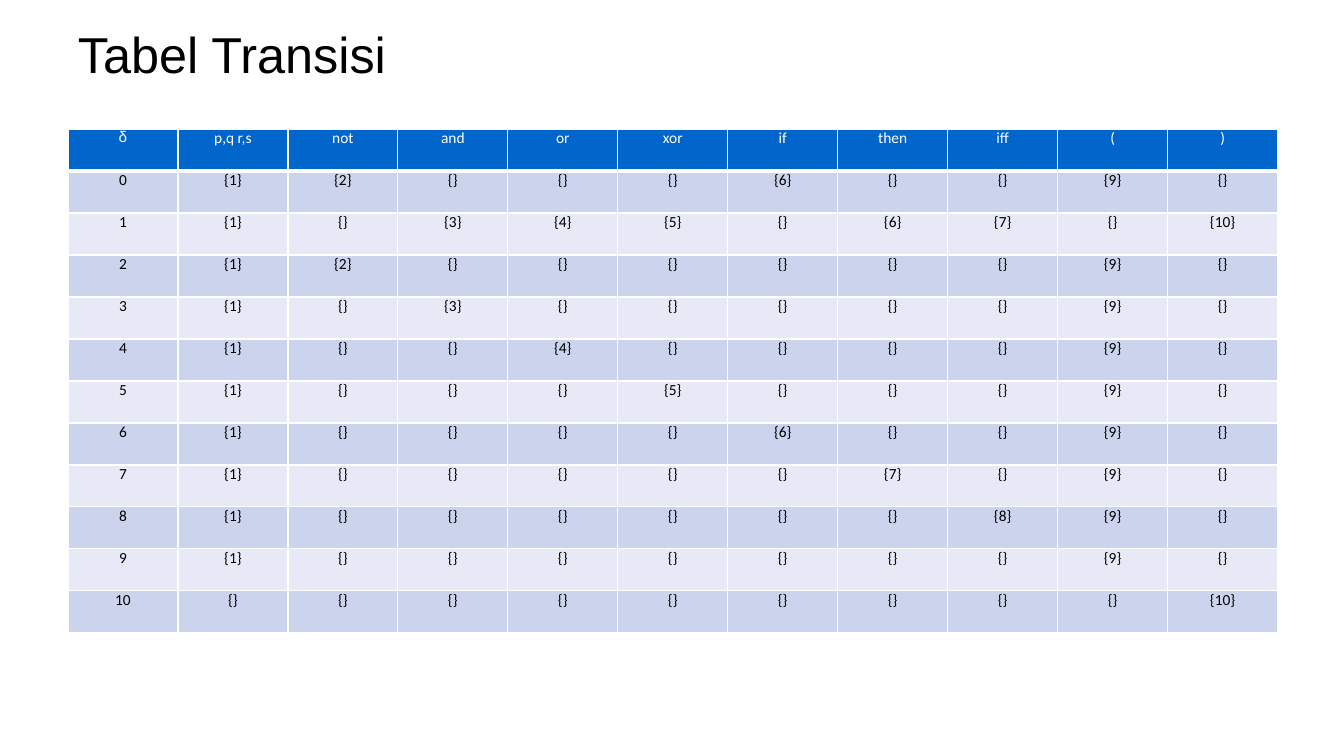
import pptx
import pptx.dml.color
import pptx.enum.text
import pptx.oxml.ns
import pptx.util
import lxml.etree

EMU_PER_PX = 914400 / 100.8
LEFT, TOP, COLUMN_WIDTH, ROW_HEIGHT = 68, 129, 110, 42
HEADER_FILL = "0066CC"
BAND_FILLS = ["CCD3EC", "E7EAF6"]
BORDER_COLOR = "FFFFFF"

SYMBOLS = ["δ", "p,q r,s", "not", "and", "or", "xor", "if", "then", "iff", "(", ")"]
TRANSITIONS = [
    "{1} {2} {} {} {} {6} {} {} {9} {}",
    "{1} {} {3} {4} {5} {} {6} {7} {} {10}",
    "{1} {2} {} {} {} {} {} {} {9} {}",
    "{1} {} {3} {} {} {} {} {} {9} {}",
    "{1} {} {} {4} {} {} {} {} {9} {}",
    "{1} {} {} {} {5} {} {} {} {9} {}",
    "{1} {} {} {} {} {6} {} {} {9} {}",
    "{1} {} {} {} {} {} {7} {} {9} {}",
    "{1} {} {} {} {} {} {} {8} {9} {}",
    "{1} {} {} {} {} {} {} {} {9} {}",
    "{} {} {} {} {} {} {} {} {} {10}",
]
rows = [SYMBOLS] + [[str(state)] + moves.split() for state, moves in enumerate(TRANSITIONS)]


def px(length):
    return pptx.util.Emu(round(length * EMU_PER_PX))


def write(frame, text, size=11, font="Calibri", color="000000", align="CENTER"):
    para = frame.paragraphs[0]
    para.alignment = getattr(pptx.enum.text.PP_ALIGN, align)
    span = para.add_run()
    span.text = text
    span.font.size = pptx.util.Pt(size)
    span.font.name = font
    span.font.bold = False
    span.font.color.rgb = pptx.dml.color.RGBColor.from_string(color)


deck = pptx.Presentation()
deck.slide_width, deck.slide_height = px(1344), px(756)
page = deck.slides.add_slide(deck.slide_layouts[6])

title = page.shapes.add_textbox(px(68), px(21), px(1210), px(65))
title.text_frame.word_wrap = True
title.text_frame.vertical_anchor = pptx.enum.text.MSO_ANCHOR.MIDDLE
write(title.text_frame, "Tabel Transisi", size=36, font="Arial", align="LEFT")

table = page.shapes.add_table(
    len(rows), len(SYMBOLS), px(LEFT), px(TOP),
    px(COLUMN_WIDTH * len(SYMBOLS)), px(ROW_HEIGHT * len(rows)),
).table
for column in table.columns:
    column.width = px(COLUMN_WIDTH)
for row in table.rows:
    row.height = px(ROW_HEIGHT)

for row_index, values in enumerate(rows):
    header = row_index == 0
    fill = HEADER_FILL if header else BAND_FILLS[(row_index - 1) % 2]
    widths = {
        "lnL": 1,
        "lnR": 1,
        "lnT": 3 if row_index == 1 else 1,
        "lnB": 3 if header else 1,
    }
    for column_index, value in enumerate(values):
        cell = table.cell(row_index, column_index)
        cell.margin_left = cell.margin_right = px(7)
        cell.margin_top = cell.margin_bottom = 0
        properties = cell._tc.get_or_add_tcPr()
        for side, width in widths.items():
            line = lxml.etree.SubElement(
                properties, pptx.oxml.ns.qn("a:" + side), w=str(pptx.util.Pt(width))
            )
            paint = lxml.etree.SubElement(line, pptx.oxml.ns.qn("a:solidFill"))
            lxml.etree.SubElement(paint, pptx.oxml.ns.qn("a:srgbClr"), val=BORDER_COLOR)
        cell.fill.solid()
        cell.fill.fore_color.rgb = pptx.dml.color.RGBColor.from_string(fill)
        write(
            cell.text_frame, value,
            font="Arial" if value == "δ" else "Calibri",
            color="FFFFFF" if header else "000000",
        )

deck.save("out.pptx")
